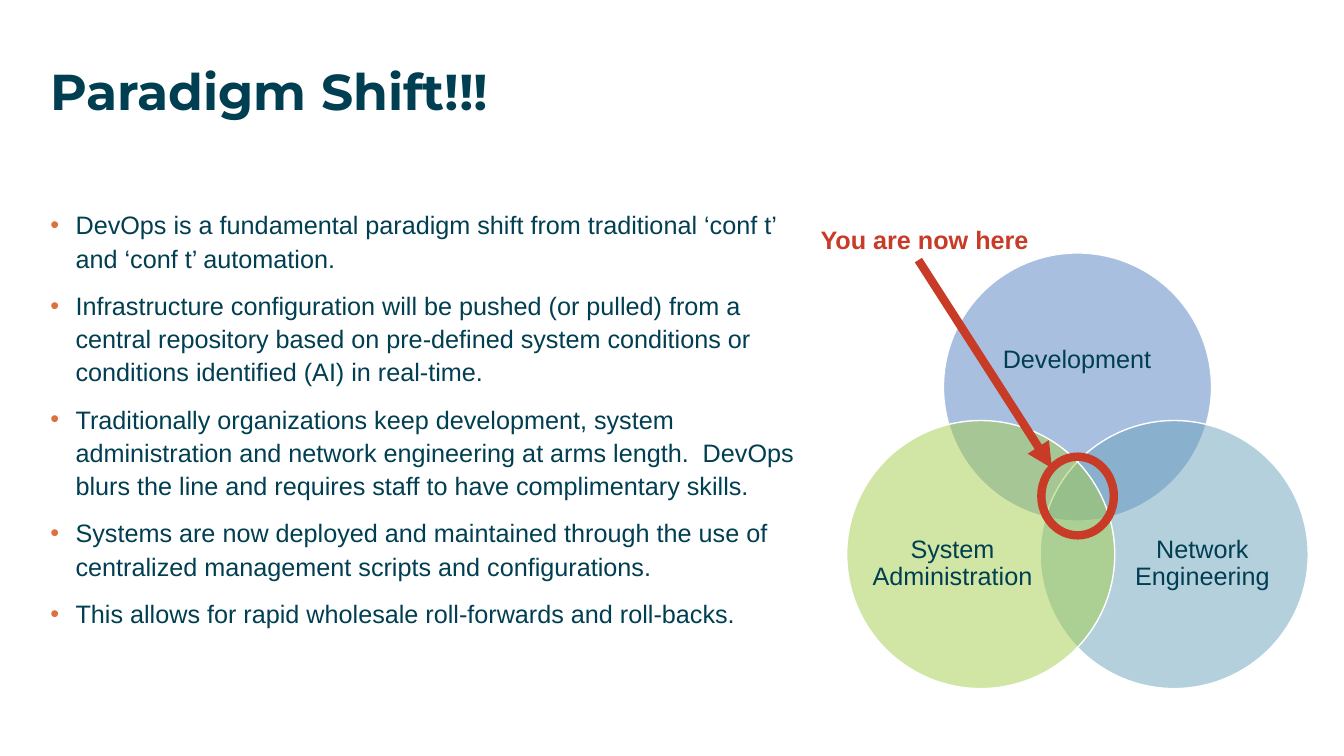
import math

from lxml import etree
from pptx import Presentation
from pptx.dml.color import RGBColor
from pptx.enum import shapes, text
from pptx.oxml import ns
from pptx.util import Pt

INK = "003E51"
RED = "C73B27"
BULLETS = [
    "DevOps is a fundamental paradigm shift from traditional ‘conf t’ and ‘conf t’ automation.",
    "Infrastructure configuration will be pushed (or pulled) from a central repository based on "
    "pre-defined system conditions or conditions identified (AI) in real-time.",
    "Traditionally organizations keep development, system administration and network engineering "
    "at arms length.  DevOps blurs the line and requires staff to have complimentary skills.",
    "Systems are now deployed and maintained through the use of centralized management scripts "
    "and configurations.",
    "This allows for rapid wholesale roll-forwards and roll-backs.",
]


def color(value):
    return RGBColor.from_string(value)


def add_element(parent, tag, **attributes):
    return etree.SubElement(parent, ns.qn(tag), attributes)


def place(shape, left, top, width, height):
    shape.left, shape.top = Pt(left), Pt(top)
    shape.width, shape.height = Pt(width), Pt(height)


def format_frame(frame, inset=None, anchor=text.MSO_ANCHOR.TOP):
    frame.word_wrap = True
    frame.auto_size = text.MSO_AUTO_SIZE.NONE
    frame.vertical_anchor = anchor
    if inset is not None:
        frame.margin_left = frame.margin_right = Pt(inset)
        frame.margin_top = frame.margin_bottom = Pt(inset)


def write(para, words, size=18, font="Arial", ink=INK, bold=False,
          align=text.PP_ALIGN.LEFT, spacing=1.0, before=0):
    para.alignment = align
    para.line_spacing = spacing
    para.space_before = Pt(before)
    span = para.add_run()
    span.text = words
    span.font.size = Pt(size)
    span.font.name = font
    span.font.bold = bold
    span.font.color.rgb = color(ink)


def add_bullet(para, ink, indent):
    properties = para._p.get_or_add_pPr()
    properties.set("marL", str(Pt(indent)))
    properties.set("indent", str(-Pt(indent)))
    add_element(add_element(properties, "a:buClr"), "a:srgbClr", val=ink)
    add_element(properties, "a:buFont", typeface="Arial")
    add_element(properties, "a:buChar", char="•")


def fill_title(page, left, top, width, height):
    title = page.shapes.title
    place(title, left, top, width, height)
    format_frame(title.text_frame)
    write(title.text_frame.paragraphs[0], "Paradigm Shift!!!", size=36,
          font="Montserrat", bold=True, spacing=0.9)


def fill_body(page, left, top, width, height):
    body = page.placeholders[1]
    place(body, left, top, width, height)
    frame = body.text_frame
    format_frame(frame)
    for index, words in enumerate(BULLETS):
        para = frame.add_paragraph() if index else frame.paragraphs[0]
        add_bullet(para, "DD713B", 18)
        write(para, words, spacing=1.1, before=10 if index else 0)


def add_ellipse(parent, left, top, width, height, line, weight):
    ellipse = parent.add_shape(shapes.MSO_SHAPE.OVAL, Pt(left), Pt(top), Pt(width), Pt(height))
    ellipse.shadow.inherit = False
    ellipse.line.color.rgb = color(line)
    ellipse.line.width = Pt(weight)
    return ellipse


def draw_venn(page, left, top, diameter, step):
    group = page.shapes.add_group_shape().shapes
    drop = step * math.sqrt(3) / 2
    circles = [
        ("Development", "5380C1", step / 2, 0, (25.2, 33.8, 140.4, 86.4)),
        ("Network Engineering", "6BA3BC", step, drop, (58.3, 49.7, 115.2, 105.1)),
        ("System Administration", "A5CF4C", 0, drop, (18, 49.7, 115.2, 105.1)),
    ]
    for name, fill, across, down, (inner_left, inner_top, width, height) in circles:
        x, y = left + across, top + down
        circle = add_ellipse(group, x, y, diameter, diameter, "FFFFFF", 1)
        circle.fill.solid()
        circle.fill.fore_color.rgb = color(fill)
        tint = circle._element.spPr.find(ns.qn("a:solidFill"))[0]
        add_element(tint, "a:alpha", val="50000")
        label = group.add_textbox(Pt(x + inner_left), Pt(y + inner_top), Pt(width), Pt(height))
        format_frame(label.text_frame, inset=0, anchor=text.MSO_ANCHOR.MIDDLE)
        write(label.text_frame.paragraphs[0], name, align=text.PP_ALIGN.CENTER, spacing=0.9)


def draw_callout(page, left, top, width, height, ring):
    ring_left, ring_top, ring_width, ring_height = ring
    corner = (1 - math.sqrt(0.5)) / 2
    arrow = page.shapes.add_connector(
        shapes.MSO_CONNECTOR.STRAIGHT, Pt(left + 77), Pt(top + height),
        Pt(ring_left + ring_width * corner), Pt(ring_top + ring_height * corner))
    arrow.line.color.rgb = color(RED)
    arrow.line.width = Pt(6)
    add_element(arrow.line._get_or_add_ln(), "a:tailEnd", type="triangle")
    add_element(arrow._element.spPr, "a:effectLst")
    label = page.shapes.add_textbox(Pt(left), Pt(top), Pt(width), Pt(height))
    format_frame(label.text_frame)
    write(label.text_frame.paragraphs[0], "You are now here", ink=RED, bold=True)
    add_ellipse(page.shapes, *ring, RED, 6).fill.background()


def main():
    deck = Presentation()
    deck.slide_width, deck.slide_height = Pt(960), Pt(540)
    page = deck.slides.add_slide(deck.slide_layouts[1])
    fill_title(page, 28.8, 44, 903.6, 89.3)
    fill_body(page, 28.8, 144, 550, 342.7)
    draw_venn(page, 604.8, 180.7, 191.5, 138.2)
    draw_callout(page, 579, 157, 190, 28.8, ring=(743.8, 326.2, 51.8, 56.2))
    deck.save("out.pptx")


if __name__ == "__main__":
    main()
